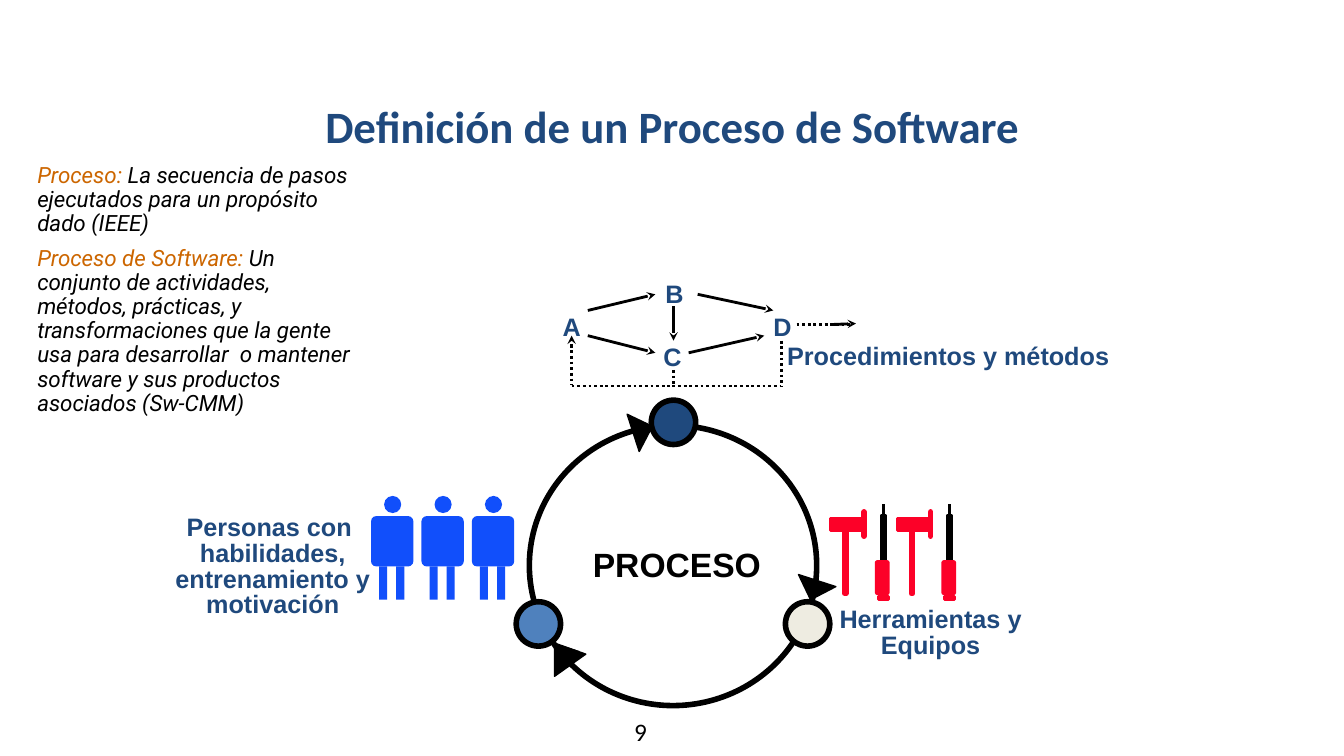
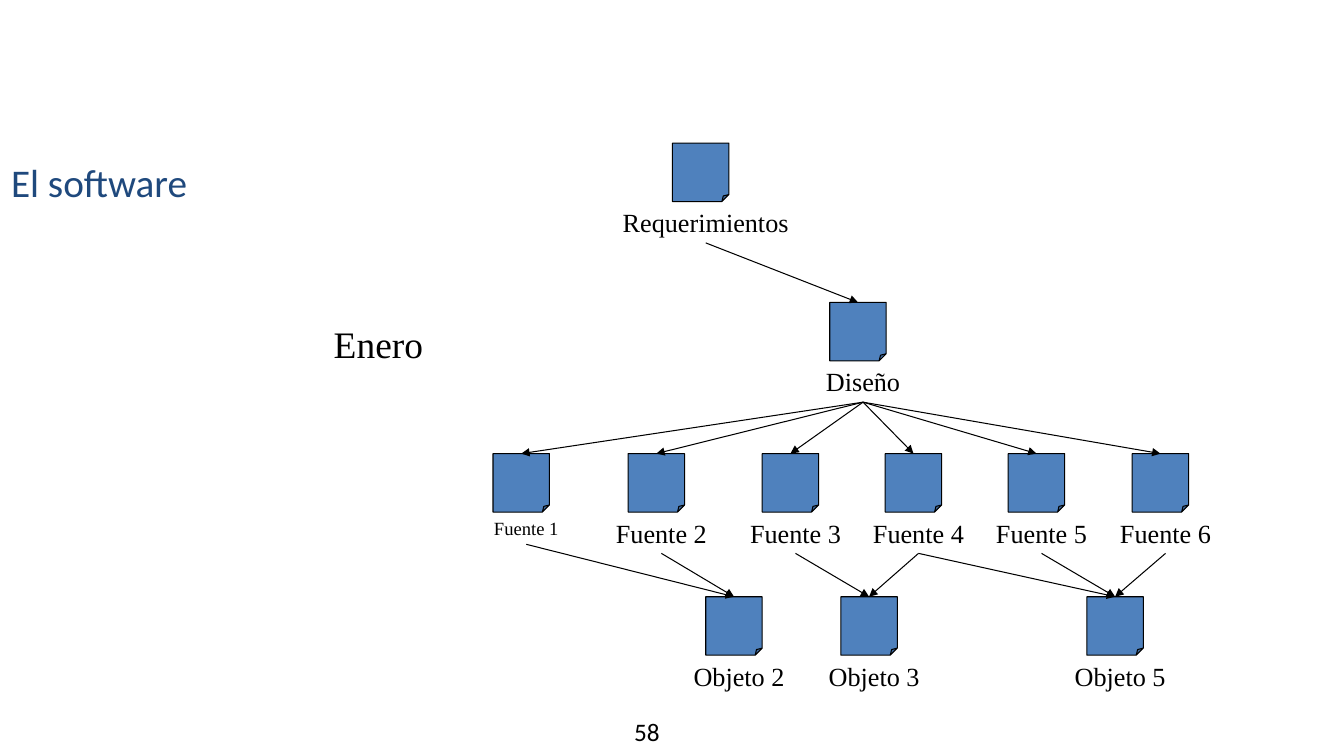
from dataclasses import dataclass

from lxml import etree
from pptx import Presentation
from pptx import util as u
from pptx.dml.color import RGBColor
from pptx.enum import dml, shapes, text
from pptx.oxml.ns import qn

# Shared colours
BLACK = RGBColor(0x00, 0x00, 0x00)
NAVY = RGBColor(0x1F, 0x49, 0x7D)
STEEL = RGBColor(0x4F, 0x81, 0xBD)
CREAM = RGBColor(0xEE, 0xEC, 0xE1)
ORANGE = RGBColor(0xCC, 0x66, 0x00)
PERSON_BLUE = RGBColor(0x11, 0x4F, 0xFB)
TOOL_RED = RGBColor(0xFC, 0x01, 0x28)

SHAPE = shapes.MSO_SHAPE
LEFT, CENTER = text.PP_ALIGN.LEFT, text.PP_ALIGN.CENTER


@dataclass(frozen=True)
class Style:
    font: str
    size: float
    color: RGBColor
    bold: bool = False
    italic: bool = False
    align: int = LEFT
    spacing: float = 1.0
    inset: tuple = (0.1, 0.05)


# Shared text styles
NUMBER = Style("Calibri", 18, BLACK)
MAIN_TITLE = Style("Calibri", 32, NAVY, bold=True, align=CENTER, inset=(0, 0))
SIDE_TITLE = Style("Calibri", 28, NAVY, inset=(0.11, 0.06))
CAPTION = Style("Arial", 18, NAVY, bold=True, align=CENTER, spacing=0.85,
                inset=(0.07, 0.03))
STEP = Style("Arial", 18, NAVY, bold=True, spacing=0.85, inset=(0.07, 0.03))
HUB = Style("Arial", 24, BLACK, bold=True, spacing=0.87, inset=(0.07, 0.03))
TERM = Style("Roboto", 16, ORANGE, italic=True, spacing=0.9, inset=(0.07, 0.03))
MEANING = Style("Roboto", 16, BLACK, italic=True)
DOC_LABEL = Style("Times New Roman", 18.7, BLACK, align=CENTER)
SMALL_DOC_LABEL = Style("Times New Roman", 13.3, BLACK, align=CENTER)
MONTH = Style("Times New Roman", 26.7, BLACK, inset=(0.11, 0.06))


# Basic elements
def format_run(run, style):
    font = run.font
    font.name, font.size = style.font, u.Pt(style.size)
    font.bold, font.italic = style.bold, style.italic
    font.color.rgb = style.color


def add_text(parent, box, content, style, wrap=False, grow=True):
    label = parent.shapes.add_textbox(*map(u.Inches, box))
    frame = label.text_frame
    frame.word_wrap = wrap
    if grow:
        frame.auto_size = text.MSO_AUTO_SIZE.SHAPE_TO_FIT_TEXT
    side, edge = map(u.Inches, style.inset)
    frame.margin_left = frame.margin_right = side
    frame.margin_top = frame.margin_bottom = edge
    frame.text = content
    for paragraph in frame.paragraphs:
        paragraph.alignment = style.align
        paragraph.line_spacing = style.spacing
        for run in paragraph.runs:
            format_run(run, style)
    return label


def paint(shape, fill, line_width=0, line=BLACK):
    shape.shadow.inherit = False
    if fill is None:
        shape.fill.background()
    else:
        shape.fill.solid()
        shape.fill.fore_color.rgb = fill
    if line_width:
        shape.line.color.rgb = line
        shape.line.width = u.Pt(line_width)
    else:
        shape.line.fill.background()


def add_shape(parent, kind, box, fill, line_width=0, line=BLACK):
    shape = parent.shapes.add_shape(kind, *map(u.Inches, box))
    paint(shape, fill, line_width, line)
    if kind == SHAPE.ROUNDED_RECTANGLE:
        shape.adjustments[0] = 0.125
    elif kind == SHAPE.FOLDED_CORNER:
        # The library lists no adjustment for this preset
        guides = shape._element.spPr.find(qn("a:prstGeom")).get_or_add_avLst()
        etree.SubElement(guides, qn("a:gd"), name="adj", fmla="val 12500")
    return shape


def add_polygon(slide, points, line_width):
    corners = [(u.Inches(x), u.Inches(y)) for x, y in points]
    builder = slide.shapes.build_freeform(*corners[0])
    builder.add_line_segments(corners[1:], close=True)
    paint(builder.convert_to_shape(), BLACK, line_width)


def add_line(slide, start, end, width=2, head=None, dotted=False):
    line = slide.shapes.add_connector(
        shapes.MSO_CONNECTOR.STRAIGHT, *map(u.Inches, (*start, *end)))
    line.line.color.rgb = BLACK
    line.line.width = u.Pt(width)
    if dotted:
        line.line.dash_style = dml.MSO_LINE.ROUND_DOT
    properties = line._element.spPr
    if head:
        etree.SubElement(properties.find(qn("a:ln")), qn("a:tailEnd"), type=head)
    etree.SubElement(properties, qn("a:effectLst"))
    return line


def new_slide(deck, number):
    slide = deck.slides.add_slide(deck.slide_layouts[6])
    add_text(slide, (6.19, 7.06, 0.64, 0.4), number, NUMBER)
    return slide


# Parts of the process slide
def add_definitions(slide, definitions):
    box = add_text(slide, (0.3, 1.6, 3.33, 2.6),
                   "\n".join(term for term, _ in definitions), TERM, wrap=True)
    for i, (_, meaning) in enumerate(definitions):
        paragraph = box.text_frame.paragraphs[i]
        if i:
            paragraph.space_before = u.Pt(7.2)
        run = paragraph.add_run()
        run.text = meaning
        format_run(run, MEANING)


def add_person(slide, x):
    add_shape(slide, SHAPE.ROUNDED_RECTANGLE, (x, 5.12, 0.42, 0.5), PERSON_BLUE)
    add_shape(slide, SHAPE.OVAL, (x + 0.13, 4.92, 0.17, 0.17), PERSON_BLUE)
    for leg in (0.08, 0.25):
        add_shape(slide, SHAPE.RECTANGLE, (x + leg, 5.62, 0.08, 0.33), PERSON_BLUE)


def add_tools(slide, x):
    bar, grip = SHAPE.RECTANGLE, SHAPE.ROUNDED_RECTANGLE
    parts = [
        # Hammer: handle, head, face
        (bar, 0.14, 5.24, 0.01, 0.65, TOOL_RED, 4),
        (bar, 0, 5.14, 0.31, 0.12, TOOL_RED, 2),
        (bar, 0.33, 5.08, 0, 0.24, TOOL_RED, 4),
        # Screwdriver: shaft, grip, cap
        (bar, 0.5, 5.11, 0.04, 0.62, BLACK, 2),
        (grip, 0.45, 5.57, 0.12, 0.32, TOOL_RED, 2),
        (bar, 0.47, 5.92, 0.1, 0.03, TOOL_RED, 2),
    ]
    for kind, dx, y, width, height, color, line_width in parts:
        add_shape(slide, kind, (x + dx, y, width, height), color, line_width, color)
    add_line(slide, (x + 0.52, 5.33), (x + 0.52, 5))


def add_step_network(slide):
    for name, x, y in (("A", 5.51, 3.1), ("B", 6.53, 2.78),
                       ("C", 6.51, 3.4), ("D", 7.6, 3.1)):
        add_text(slide, (x, y, 0.32, 0.31), name, STEP)
    arrows = [
        ((6.92, 2.92), (7.67, 3.08)), ((5.83, 3.08), (6.5, 2.92)),
        ((5.83, 3.33), (6.5, 3.5)), ((6.83, 3.5), (7.58, 3.33)),
        ((6.68, 3.04), (6.68, 3.38)), ((5.67, 3.42), (5.67, 3.33)),
        ((8.24, 3.22), (8.49, 3.21)),
    ]
    feedback = [
        ((5.67, 3.42), (5.67, 3.82)), ((5.67, 3.83), (6.67, 3.83)),
        ((6.68, 3.67), (6.68, 3.81)), ((6.67, 3.83), (7.75, 3.83)),
        ((7.75, 3.38), (7.75, 3.83)), ((7.9, 3.22), (8.43, 3.22)),
    ]
    for start, end in arrows:
        add_line(slide, start, end, head="stealth")
    for start, end in feedback:
        add_line(slide, start, end, dotted=True)


def add_cycle(slide):
    add_shape(slide, SHAPE.OVAL, (5.25, 4.22, 2.85, 2.78), None, 4)
    for x, y, color in ((6.46, 3.97, NAVY), (5.12, 5.97, STEEL), (7.79, 5.97, CREAM)):
        add_shape(slide, SHAPE.OVAL, (x, y, 0.44, 0.44), color, 4)
    add_text(slide, (5.81, 5.42, 1.82, 0.41), "PROCESO", HUB)
    # Direction markers on the ring
    for points, line_width in (
        (((6.22, 4.11), (6.47, 4.23), (6.34, 4.48)), 1),
        (((8.04, 5.95), (8.29, 5.82), (7.92, 5.7)), 1),
        (((5.5, 6.38), (5.75, 6.46), (5.5, 6.63)), 0),
        (((5.5, 6.38), (5.81, 6.49), (5.5, 6.71)), 1),
    ):
        add_polygon(slide, points, line_width)


def build_process_slide(deck):
    slide = new_slide(deck, "9")
    add_cycle(slide)
    for i in range(3):
        add_person(slide, 3.68 + 0.5 * i)
    for i in range(2):
        add_tools(slide, 8.24 + 0.66 * i)
    for box, caption in (
        ((7.72, 3.39, 3.37, 0.31), "Procedimientos y métodos"),
        ((8.25, 6, 1.96, 0.57), "Herramientas y\nEquipos"),
        ((1.66, 5.09, 2.09, 1.09),
         "Personas con \nhabilidades,\nentrenamiento y\nmotivación"),
    ):
        add_text(slide, box, caption, CAPTION)
    add_definitions(slide, [
        ("Proceso:",
         " La secuencia de pasos ejecutados para un propósito dado (IEEE)"),
        ("Proceso de Software:",
         " Un conjunto de actividades, métodos, prácticas, y transformaciones "
         "que la gente usa para desarrollar  o mantener software y sus "
         "productos asociados (Sw-CMM)"),
    ])
    add_step_network(slide)
    add_text(slide, (2.42, 0.98, 8.5, 0.64), "Definición de un Proceso de Software",
             MAIN_TITLE, wrap=True, grow=False)


# Parts of the software slide
def add_document(slide, name, center, top, style=DOC_LABEL):
    group = slide.shapes.add_group_shape()
    page = add_shape(group, SHAPE.FOLDED_CORNER,
                     (center - 0.33, top, 0.56, 0.58), STEEL, 0.75)
    height = 0.41 if style is DOC_LABEL else 0.32
    label = add_text(group, (center - 1, top + 0.58, 2, height), name, style, wrap=True)
    return page, label


def link_documents(slide, source, target):
    arrow = add_line(slide, (0, 0), (1, 1), 0.75, "triangle")
    arrow.begin_connect(source[1], 2)
    arrow.end_connect(target[0], 0)


def build_software_slide(deck):
    slide = new_slide(deck, "58")
    add_text(slide, (0, 1.51, 11.33, 0.58), "El software", SIDE_TITLE, wrap=True)
    add_text(slide, (3.2, 3.13, 1.12, 0.56), "Enero", MONTH)

    # Documents, level by level
    requirements = add_document(slide, "Requerimientos", 7, 1.42)
    design = add_document(slide, "Diseño", 8.56, 3)
    sources = {
        n: add_document(slide, f"Fuente {n}", center, 4.5,
                        SMALL_DOC_LABEL if n == 1 else DOC_LABEL)
        for n, center in enumerate((5.22, 6.56, 7.89, 9.11, 10.33, 11.56), 1)
    }
    objects = {n: add_document(slide, f"Objeto {n}", center, 5.92)
               for n, center in ((2, 7.33), (3, 8.67), (5, 11.11))}

    # Dependencies
    link_documents(slide, requirements, design)
    for source in sources.values():
        link_documents(slide, design, source)
    for source, target in ((1, 2), (2, 2), (3, 3), (4, 3), (4, 5), (5, 5), (6, 5)):
        link_documents(slide, sources[source], objects[target])


def main():
    deck = Presentation()
    deck.slide_width, deck.slide_height = u.Inches(13.33), u.Inches(7.5)
    build_process_slide(deck)
    build_software_slide(deck)
    deck.save("out.pptx")


if __name__ == "__main__":
    main()
